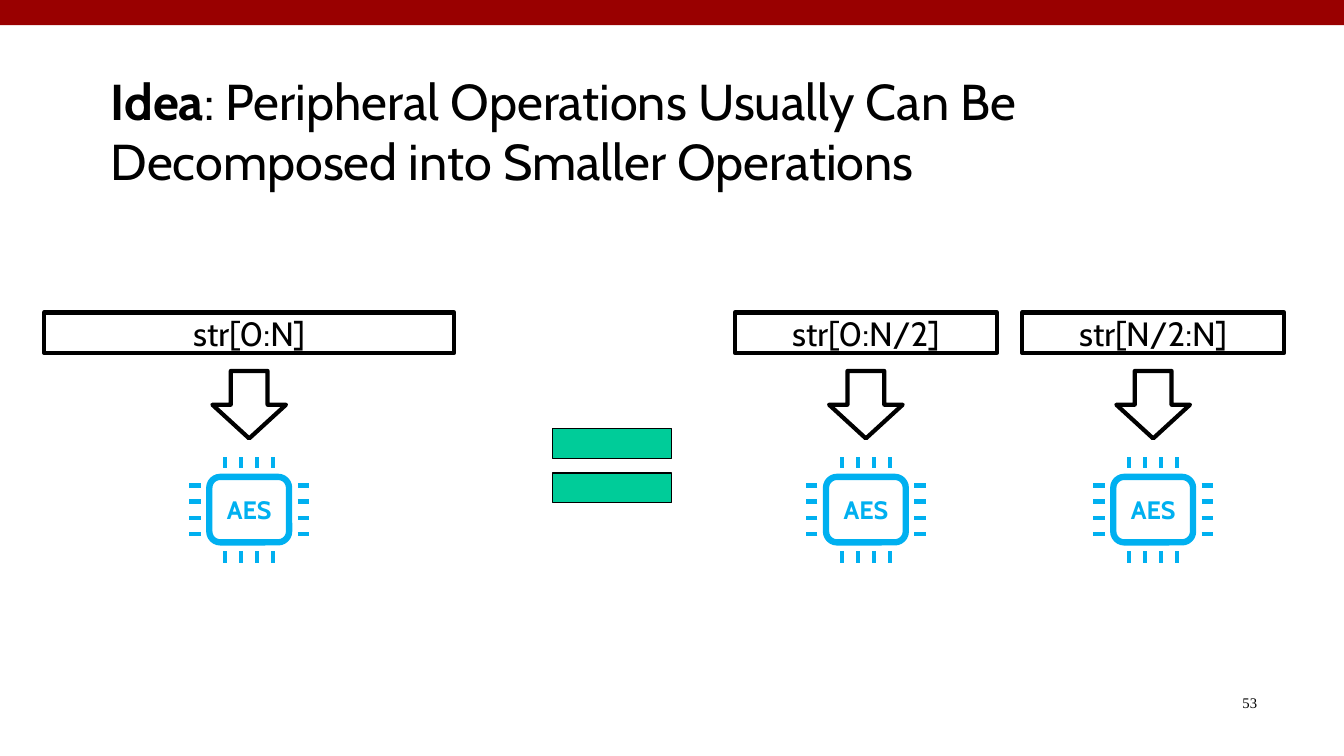
from lxml.etree import SubElement
from pptx import Presentation
from pptx.dml.color import RGBColor
from pptx.enum.shapes import MSO_CONNECTOR, MSO_SHAPE
from pptx.enum.text import MSO_ANCHOR, PP_ALIGN
from pptx.oxml.ns import qn
from pptx.util import Pt

TITLE = [("Idea", True),
         (": Peripheral Operations Usually Can Be Decomposed into Smaller Operations", False)]
PAGE_NUMBER = "53"
CHIP_NAME = "AES"
# label, centre x and width of its box
OPERATIONS = [("str[0:N]", 178, 293), ("str[0:N/2]", 618.5, 187.2), ("str[N/2:N]", 823.7, 187.2)]

BLACK, WHITE, RED, GREEN, BLUE = "000000", "FFFFFF", "990000", "00CC99", "00B0F0"
FONT = "Cabin"
SLIDE_WIDTH, SLIDE_HEIGHT = 960, 540

LABEL_TOP, LABEL_HEIGHT = 223.2, 28.8
ARROW_LENGTH, ARROW_WIDTH, ARROW_MIDDLE = 48.2, 52.6, 289.1
CHIP_MIDDLE, CHIP_WIDTH, CHIP_HEIGHT = 364, 57, 46.8
PIN_PITCH, PIN_LENGTH = 11.5, 8
PIN_START_X, PIN_START_Y = 34.7, 29.9


def color(hex_string):
    return RGBColor.from_string(hex_string)


def add_shape(shapes, kind, left, top, width, height, fill=None, line=None, line_width=0):
    shape = shapes.add_shape(kind, Pt(left), Pt(top), Pt(width), Pt(height))
    shape.shadow.inherit = False
    if fill:
        shape.fill.solid()
        shape.fill.fore_color.rgb = color(fill)
    else:
        shape.fill.background()
    if line:
        shape.line.color.rgb = color(line)
        shape.line.width = Pt(line_width)
    else:
        shape.line.fill.background()
    return shape


def add_textbox(shapes, left, top, width, height):
    return shapes.add_textbox(Pt(left), Pt(top), Pt(width), Pt(height))


def write(shape, runs, size, align=PP_ALIGN.LEFT, text_color=BLACK, font=FONT,
          anchor=MSO_ANCHOR.MIDDLE):
    """Fill a shape with one paragraph of (text, bold) runs."""
    frame = shape.text_frame
    frame.word_wrap = True
    frame.vertical_anchor = anchor
    paragraph = frame.paragraphs[0]
    paragraph.alignment = align
    paragraph.font.name = font
    paragraph.font.size = Pt(size)
    paragraph.font.color.rgb = color(text_color)
    for text, bold in runs:
        run = paragraph.add_run()
        run.text = text
        run.font.bold = bold


def add_pin(shapes, x1, y1, x2, y2):
    pin = shapes.add_connector(MSO_CONNECTOR.STRAIGHT, Pt(x1), Pt(y1), Pt(x2), Pt(y2))
    pin.line.color.rgb = color(BLUE)
    pin.line.width = Pt(3)
    SubElement(pin.element.spPr, qn("a:effectLst"))


def add_chip(slide, x, y):
    """Draw a chip centred on (x, y) with four pins on each side."""
    shapes = slide.shapes.add_group_shape().shapes
    add_shape(shapes, MSO_SHAPE.FLOWCHART_ALTERNATE_PROCESS, x - CHIP_WIDTH / 2,
              y - CHIP_HEIGHT / 2, CHIP_WIDTH, CHIP_HEIGHT, line=BLUE, line_width=4.5)
    for index in range(4):
        offset = (index - 1.5) * PIN_PITCH
        for side in (-1, 1):
            near_x, far_x = (x + side * (PIN_START_X + reach) for reach in (0, PIN_LENGTH))
            near_y, far_y = (y + side * (PIN_START_Y + reach) for reach in (0, PIN_LENGTH))
            add_pin(shapes, x + offset, near_y, x + offset, far_y)
            add_pin(shapes, near_x, y + offset, far_x, y + offset)
    name = add_textbox(shapes, x - 31.7, y - 14.8, 63.4, 29)
    write(name, [(CHIP_NAME, True)], 18, PP_ALIGN.CENTER, BLUE)


def add_operation(slide, label, x, width):
    """Draw a labelled box with an arrow down to its chip."""
    box = add_shape(slide.shapes, MSO_SHAPE.RECTANGLE, x - width / 2, LABEL_TOP,
                    width, LABEL_HEIGHT, WHITE, BLACK, 3)
    box.text_frame.margin_top = box.text_frame.margin_bottom = 0
    write(box, [(label, False)], 24, PP_ALIGN.CENTER)
    arrow = add_shape(slide.shapes, MSO_SHAPE.RIGHT_ARROW, x - ARROW_LENGTH / 2,
                      ARROW_MIDDLE - ARROW_WIDTH / 2, ARROW_LENGTH, ARROW_WIDTH,
                      WHITE, BLACK, 3)
    arrow.rotation = 90
    add_chip(slide, x, CHIP_MIDDLE)


def main():
    presentation = Presentation()
    presentation.slide_width, presentation.slide_height = Pt(SLIDE_WIDTH), Pt(SLIDE_HEIGHT)
    slide = presentation.slides.add_slide(presentation.slide_layouts[6])

    add_shape(slide.shapes, MSO_SHAPE.RECTANGLE, 0, 0, SLIDE_WIDTH, 18, RED)
    write(add_textbox(slide.shapes, 72, 48, 816, 90), TITLE, 36)
    write(add_textbox(slide.shapes, 705, 492, 200, 36), [(PAGE_NUMBER, False)], 10.5,
          PP_ALIGN.RIGHT, font="Times New Roman", anchor=MSO_ANCHOR.TOP)
    for operation in OPERATIONS:
        add_operation(slide, *operation)
    add_shape(slide.shapes, MSO_SHAPE.MATH_EQUAL, 379.4, 288, 116, 89.3, GREEN, BLACK, 0.75)

    presentation.save("out.pptx")


if __name__ == "__main__":
    main()
